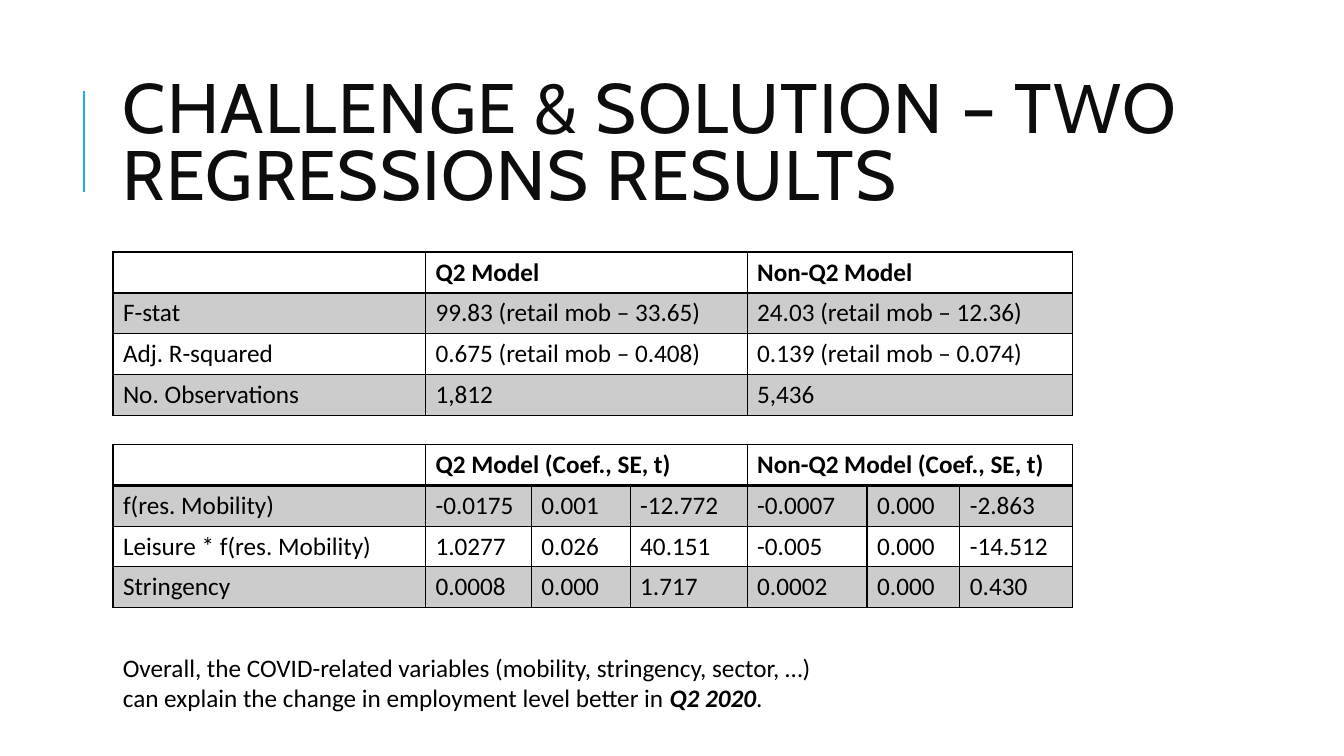
from lxml import etree
from pptx import Presentation
from pptx.dml.color import RGBColor
from pptx.enum.shapes import MSO_CONNECTOR
from pptx.enum.text import MSO_ANCHOR
from pptx.oxml.ns import qn
from pptx.util import Inches, Pt

STRAIGHT = MSO_CONNECTOR.STRAIGHT
MIDDLE = MSO_ANCHOR.MIDDLE
TOP = MSO_ANCHOR.TOP

LEFT = 1.12
ROW_HEIGHT = 0.405
LABEL_WIDTH = 3.1
BLACK, WHITE, GREY = "000000", "FFFFFF", "CCCCCC"


def color(hex_value):
    return RGBColor.from_string(hex_value)


def add_run(paragraph, text, size=18, font="Calibri", hex_value=BLACK, bold=False, italic=False):
    run = paragraph.add_run()
    run.text = text
    run.font.size = Pt(size)
    run.font.name = font
    run.font.bold = bold
    run.font.italic = italic
    run.font.color.rgb = color(hex_value)
    return run


presentation = Presentation()
presentation.slide_width = Inches(13.33)
presentation.slide_height = Inches(7.5)
slide = presentation.slides.add_slide(presentation.slide_layouts[6])

accent = slide.shapes.add_connector(STRAIGHT, Inches(0.83), Inches(1.9), Inches(0.83), Inches(0.9))
accent.line.color.rgb = color("1CADE4")
accent.line.width = Pt(1.5)
etree.SubElement(accent._element.spPr, qn("a:effectLst"))

title = slide.shapes.add_textbox(Inches(LEFT), Inches(0.64), Inches(10.95), Inches(1.64))
title.text_frame.word_wrap = True
title.text_frame.vertical_anchor = MIDDLE
paragraph = title.text_frame.paragraphs[0]
paragraph.line_spacing = 0.8
run = add_run(paragraph, "CHALLENGE & SOLUTION – TWO REGRESSIONS RESULTS", 50, "Cabin", "0D0D0D")
run._r.get_or_add_rPr().set("spc", "100")

fit_rows = [
    ["", "Q2 Model", "Non-Q2 Model"],
    ["F-stat", "99.83 (retail mob – 33.65)", "24.03 (retail mob – 12.36)"],
    ["Adj. R-squared", "0.675 (retail mob – 0.408)", "0.139 (retail mob – 0.074)"],
    ["No. Observations", "1,812", "5,436"],
]
coefficient_rows = [
    ["", "Q2 Model (Coef., SE, t)", "", "", "Non-Q2 Model (Coef., SE, t)", "", ""],
    ["f(res. Mobility)", "-0.0175", "0.001", "-12.772", "-0.0007", "0.000", "-2.863"],
    ["Leisure * f(res. Mobility)", "1.0277", "0.026", "40.151", "-0.005", "0.000", "-14.512"],
    ["Stringency", "0.0008", "0.000", "1.717", "0.0002", "0.000", "0.430"],
]
tables = [
    (2.5, [LABEL_WIDTH, 3.19, 3.23], fit_rows, []),
    (4.41, [LABEL_WIDTH, 1.05, 0.98, 1.16, 1.19, 0.92, 1.12], coefficient_rows, [(1, 3), (4, 6)]),
]

for top, widths, rows, merges in tables:
    table = slide.shapes.add_table(
        len(rows), len(widths), Inches(LEFT), Inches(top),
        Inches(sum(widths)), Inches(ROW_HEIGHT * len(rows)),
    ).table
    for column, width in zip(table.columns, widths):
        column.width = Inches(width)
    for first, last in merges:
        table.cell(0, first).merge(table.cell(0, last))
    for row_index, values in enumerate(rows):
        table.rows[row_index].height = Inches(ROW_HEIGHT)
        for column_index, value in enumerate(values):
            cell = table.cell(row_index, column_index)
            properties = cell._tc.get_or_add_tcPr()
            for side in ("L", "R", "T", "B"):
                heavy = (row_index == 0 and side == "B") or (row_index == 1 and side == "T")
                border = etree.SubElement(properties, qn(f"a:ln{side}"), w=str(Pt(2 if heavy else 1)))
                border_fill = etree.SubElement(border, qn("a:solidFill"))
                etree.SubElement(border_fill, qn("a:srgbClr"), val=BLACK)
            cell.fill.solid()
            cell.fill.fore_color.rgb = color(GREY if row_index % 2 else WHITE)
            cell.vertical_anchor = TOP
            paragraph = cell.text_frame.paragraphs[0]
            paragraph.font.size = Pt(18)
            if value:
                add_run(paragraph, value, bold=row_index == 0)

conclusion = slide.shapes.add_textbox(Inches(LEFT), Inches(6.42), Inches(7.24), Inches(0.71))
conclusion.text_frame.word_wrap = True
paragraph = conclusion.text_frame.paragraphs[0]
add_run(paragraph, "Overall, the COVID-related variables (mobility, stringency, sector, …)")
paragraph = conclusion.text_frame.add_paragraph()
add_run(paragraph, "can explain the change in employment level better in ")
add_run(paragraph, "Q2 2020", bold=True, italic=True)
add_run(paragraph, ".")

presentation.save("out.pptx")
